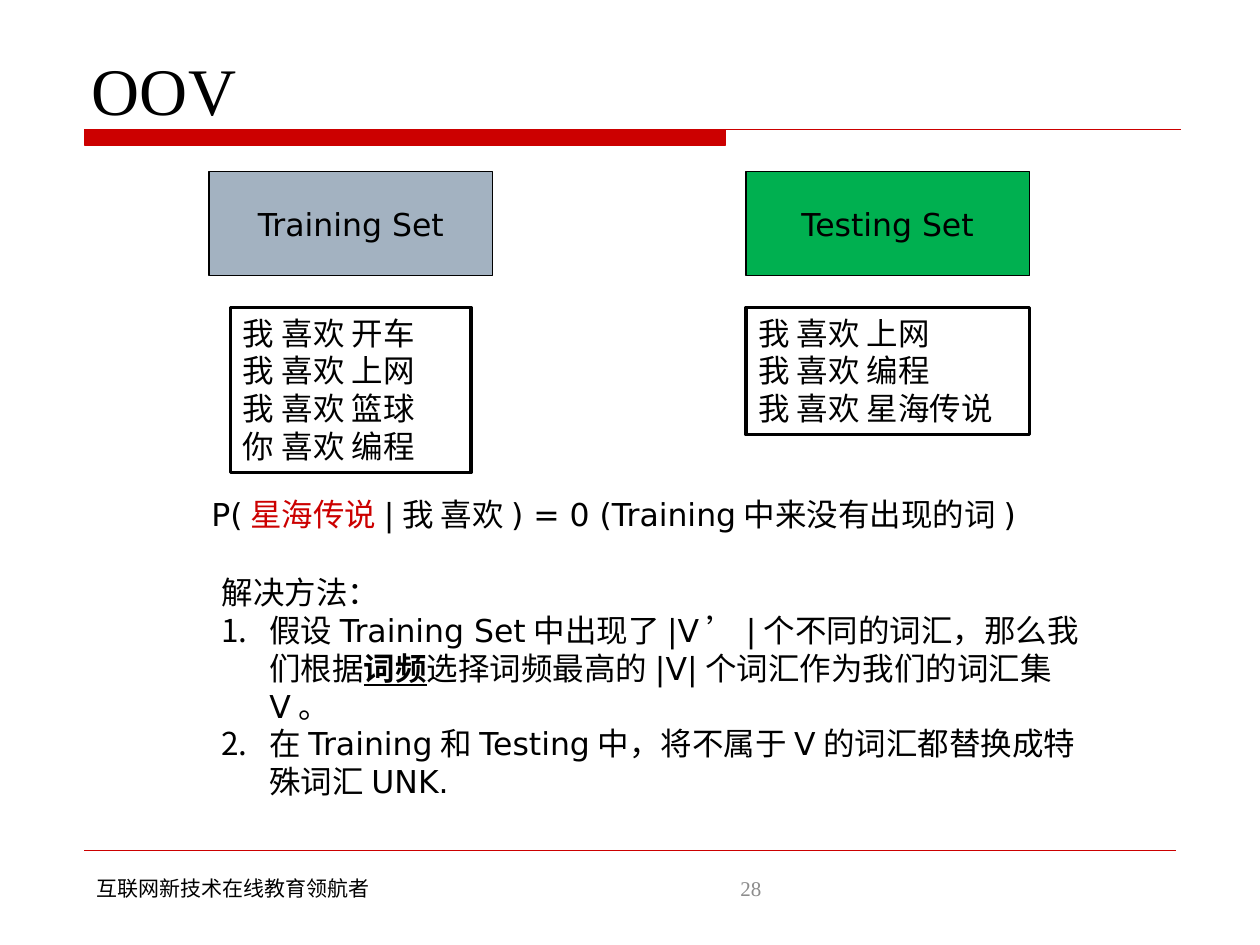
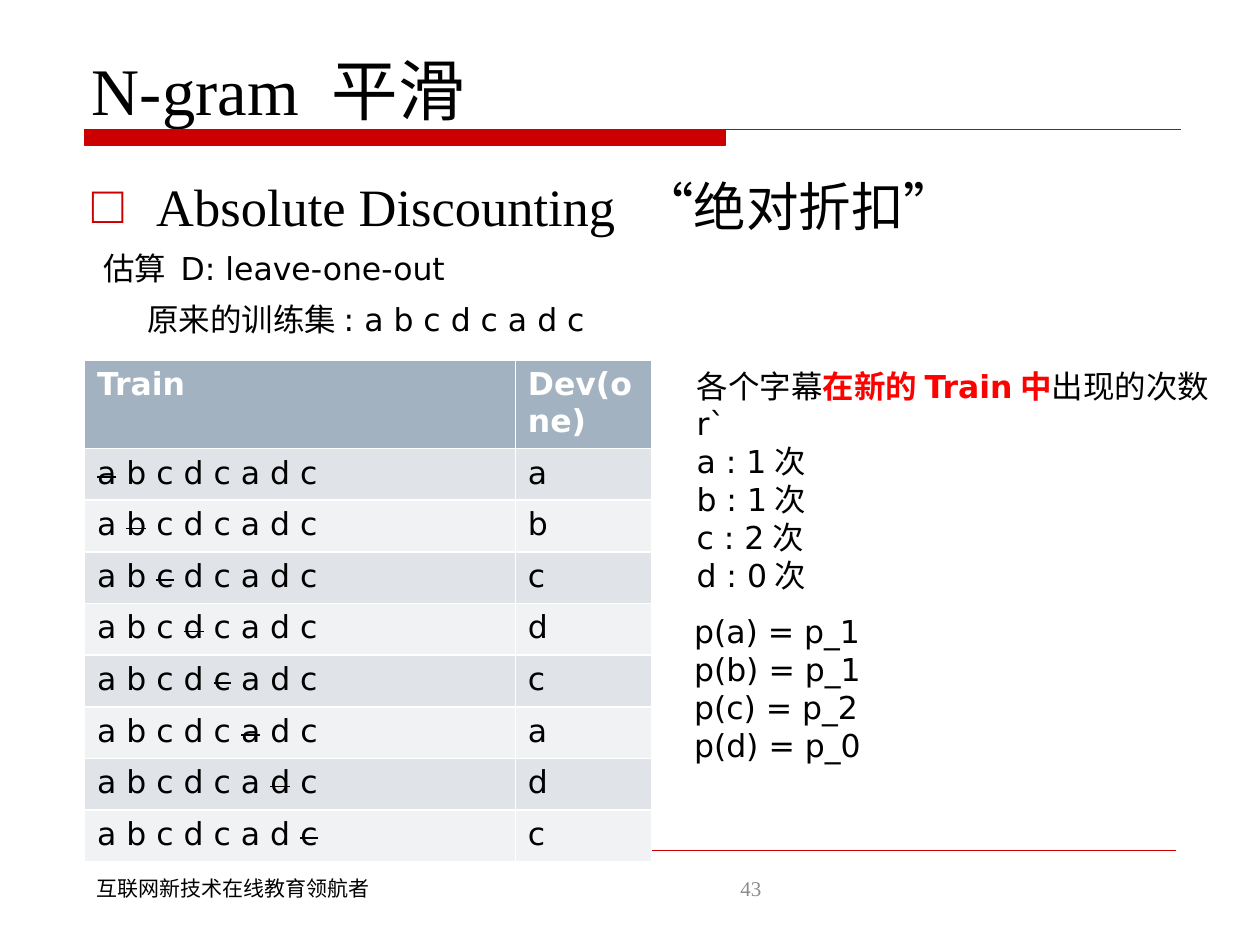
from lxml import etree
from pptx import Presentation
from pptx.dml.color import RGBColor
from pptx.enum.lang import MSO_LANGUAGE_ID as Lang
from pptx.enum.shapes import MSO_CONNECTOR as Connector, MSO_SHAPE as Shape
from pptx.enum.text import MSO_ANCHOR as Anchor, MSO_AUTO_SIZE as AutoSize, PP_ALIGN as Align
from pptx.oxml.ns import qn
from pptx.util import Emu, Pt

PX = 9144  # 100 px to the inch
COLORS = {
    "text": "000000", "paper": "FFFFFF", "accent": "CC0000", "alert": "FF0000",
    "page": "8C8C8C", "train": "A3B2C1", "test": "00B050",
    "odd_row": "E0E4E9", "even_row": "F0F2F4",
}
SERIF, SANS, CHINESE = "Times New Roman", "DejaVu Sans", "Noto Sans CJK SC"
TITLE_BOX = (63, 33, 875, 74)
SLOGAN = "互联网新技术在线教育领航者"
UNSEEN_WORD = "星海传说"


def px(*lengths):
    return [Emu(length * PX) for length in lengths]


def rgb(name):
    return RGBColor.from_string(COLORS[name])


def add_run(paragraph, words, size=18, font=SANS, color="text",
            bold=False, underline=False, strike=False):
    run = paragraph.add_run()
    run.text = words
    run.font.size, run.font.name = Pt(size), font
    run.font.bold, run.font.underline = bold, underline
    run.font.color.rgb = rgb(color)
    run.font.language_id = Lang.SIMPLIFIED_CHINESE
    properties = run._r.get_or_add_rPr()
    if strike:
        properties.set("strike", "sngStrike")
    properties.find(qn("a:latin")).addnext(
        etree.Element(qn("a:ea"), typeface=CHINESE))


def write(frame, paragraphs, align=Align.LEFT, **style):
    """Fill a frame; a paragraph is a string or a list of strings and (string, style) pairs."""
    for index, runs in enumerate(paragraphs):
        paragraph = frame.add_paragraph() if index else frame.paragraphs[0]
        paragraph.alignment = align
        for run in [runs] if isinstance(runs, str) else runs:
            words, extra = (run, {}) if isinstance(run, str) else run
            add_run(paragraph, words, **{**style, **extra})


def add_bullet(paragraph, hanging, *marks):
    """Give a paragraph a hanging indent and bullet elements, each a (tag, attributes) pair."""
    properties = paragraph._p.get_or_add_pPr()
    properties.set("marL", str(hanging * PX))
    properties.set("indent", str(-hanging * PX))
    for tag, attributes in marks:
        etree.SubElement(properties, qn(tag), attributes)


def add_text(slide, box, paragraphs, wrap=True, anchor=Anchor.TOP, **style):
    frame = slide.shapes.add_textbox(*px(*box)).text_frame
    frame.word_wrap, frame.vertical_anchor = wrap, anchor
    write(frame, paragraphs, **style)
    return frame


def add_panel(slide, box, fill, line_width, paragraphs, anchor, **style):
    panel = slide.shapes.add_shape(Shape.RECTANGLE, *px(*box))
    panel.shadow.inherit = False
    panel.fill.solid()
    panel.fill.fore_color.rgb = rgb(fill)
    panel.line.color.rgb = rgb("text")
    panel.line.width = Pt(line_width)
    panel.text_frame.vertical_anchor = anchor
    write(panel.text_frame, paragraphs, **style)


def fill_placeholder(placeholder, box, paragraphs, anchor, size):
    placeholder.left, placeholder.top, placeholder.width, placeholder.height = px(*box)
    frame = placeholder.text_frame
    frame.auto_size, frame.vertical_anchor = AutoSize.NONE, anchor
    write(frame, paragraphs, size=size, font=SERIF)
    return frame


def add_title_band(slide, left, top, width, height, band_width):
    outline = slide.shapes.build_freeform(left, top, scale=PX)
    outline.add_line_segments([
        (left + band_width, top), (left + band_width, top + height),
        (left, top + height)], close=True)
    outline.move_to(left, top)
    outline.add_line_segments([(left + width, top)], close=False)
    band = outline.convert_to_shape()
    band.shadow.inherit = False
    band.fill.solid()
    band.fill.fore_color.rgb = rgb("accent")
    band.line.color.rgb = rgb("accent")
    band.line.width = Pt(0.75)


def add_footer(slide, left, top, width, page):
    rule = slide.shapes.add_connector(
        Connector.STRAIGHT, *px(left, top, left + width, top))
    rule.line.color.rgb = rgb("accent")
    rule.line.width = Pt(0.25)
    etree.SubElement(rule._element.spPr, qn("a:effectLst"))
    add_text(slide, (left, top + 15, 239, 30), [SLOGAN],
             wrap=False, size=12, font=CHINESE)
    add_text(slide, (left + 322, top + 10, 225, 40), [str(page)],
             anchor=Anchor.MIDDLE, align=Align.RIGHT,
             size=12, font=SERIF, color="page")


def new_slide(deck, layout, title, page):
    slide = deck.slides.add_slide(deck.slide_layouts.get_by_name(layout))
    fill_placeholder(slide.shapes.title, TITLE_BOX, [title], Anchor.BOTTOM, 38)
    add_title_band(slide, 67, 103, 870, 12, band_width=509)
    add_footer(slide, 67, 675, 866, page)
    return slide


def add_data_set(slide, left, top, name, fill, sentences, inset):
    """Place a named block with its sentences, inset on both sides, below it."""
    width = 225
    add_panel(slide, (left, top, width, 83), fill, 0.75, [name],
              Anchor.MIDDLE, align=Align.CENTER)
    add_panel(slide, (left + inset, top + 108, width - 2 * inset, 11 + 30 * len(sentences)),
              "paper", 2, sentences, Anchor.TOP, font=SERIF)


def add_solutions(slide, box):
    frame = add_text(slide, box, [
        "解决方法：",
        ["假设Training Set中出现了|V’|个不同的词汇，那么我们根据",
         ("词频", {"bold": True, "underline": True}),
         "选择词频最高的|V|个词汇作为我们的词汇集V。"],
        "在Training和Testing中，将不属于V的词汇都替换成特殊词汇UNK.",
    ])
    for step in frame.paragraphs[1:]:
        add_bullet(step, 38, ("a:buFont", {"typeface": SANS}),
                   ("a:buAutoNum", {"type": "arabicPeriod"}))


def build_oov(deck):
    slide = new_slide(deck, "Title Only", "OOV", 28)
    add_data_set(slide, 166, 136, "Training Set", "train",
                 ["我 喜欢 开车", "我 喜欢 上网", "我 喜欢 篮球", "你 喜欢 编程"], inset=17)
    add_data_set(slide, 592, 136, "Testing Set", "test",
                 ["我 喜欢 上网", "我 喜欢 编程", f"我 喜欢 {UNSEEN_WORD}"], inset=0)
    add_text(slide, (158, 388, 801, 40), [
        ["P(", (UNSEEN_WORD, {"color": "accent"}),
         "|我 喜欢) = 0 (Training中来没有出现的词)"]])
    add_solutions(slide, (166, 450, 709, 162))


def add_leave_one_out_table(slide, left, top, letters):
    """One row per letter: the sequence with that letter struck out, then the letter."""
    widths, header_height, row_height = (342, 108), 32, 41
    rows = [(["Train"], ["Dev(one)"])]
    for index, letter in enumerate(letters):
        before = "".join(f"{other} " for other in letters[:index])
        after = "".join(f" {other}" for other in letters[index + 1:])
        train = [before, (letter, {"strike": True}), after]
        rows.append(([run for run in train if run], [letter]))

    table = slide.shapes.add_table(len(rows), len(widths), *px(
        left, top, sum(widths), header_height + row_height * len(letters))).table
    for column, width in zip(table.columns, widths):
        column.width = Emu(width * PX)
    for index, row in enumerate(rows):
        header = index == 0
        table.rows[index].height = Emu((header_height if header else row_height) * PX)
        fill = "train" if header else "odd_row" if index % 2 else "even_row"
        for column, runs in enumerate(row):
            cell = table.cell(index, column)
            cell.fill.solid()
            cell.fill.fore_color.rgb = rgb(fill)
            write(cell.text_frame, [runs], bold=header,
                  color="paper" if header else "text")


def build_smoothing(deck):
    slide = new_slide(deck, "Title and Content", "N-gram 平滑", 43)
    method = fill_placeholder(slide.placeholders[1], (63, 133, 875, 67),
                              ["Absolute Discounting “绝对折扣”"], Anchor.TOP, 30)
    accent = etree.Element(qn("a:srgbClr"), val=COLORS["accent"])
    add_bullet(method.paragraphs[0], 51, ("a:buClr", {}),
               ("a:buFont", {"typeface": SERIF}), ("a:buChar", {"char": "□"}))
    method.paragraphs[0]._p.pPr.find(qn("a:buClr")).append(accent)

    sequence = "a b c d c a d c"
    add_text(slide, (72, 193, 377, 40), ["估算 D: leave-one-out"], wrap=False)
    add_text(slide, (107, 233, 417, 40), [f"原来的训练集: {sequence}"])
    add_leave_one_out_table(slide, 67, 286, sequence.split())

    counts = {"a": 1, "b": 1, "c": 2, "d": 0}
    add_text(slide, (543, 286, 440, 162), [
        ["各个字幕", ("在新的Train中", {"color": "alert", "bold": True}), "出现的次数r`"],
        *(f"{letter} : {count}次" for letter, count in counts.items())])
    add_text(slide, (541, 481, 161, 131),
             [f"p({letter}) = p_{count}" for letter, count in counts.items()], wrap=False)


def main():
    deck = Presentation()
    deck.slide_width, deck.slide_height = px(1000, 750)
    build_oov(deck)
    build_smoothing(deck)
    deck.save("out.pptx")


if __name__ == "__main__":
    main()
